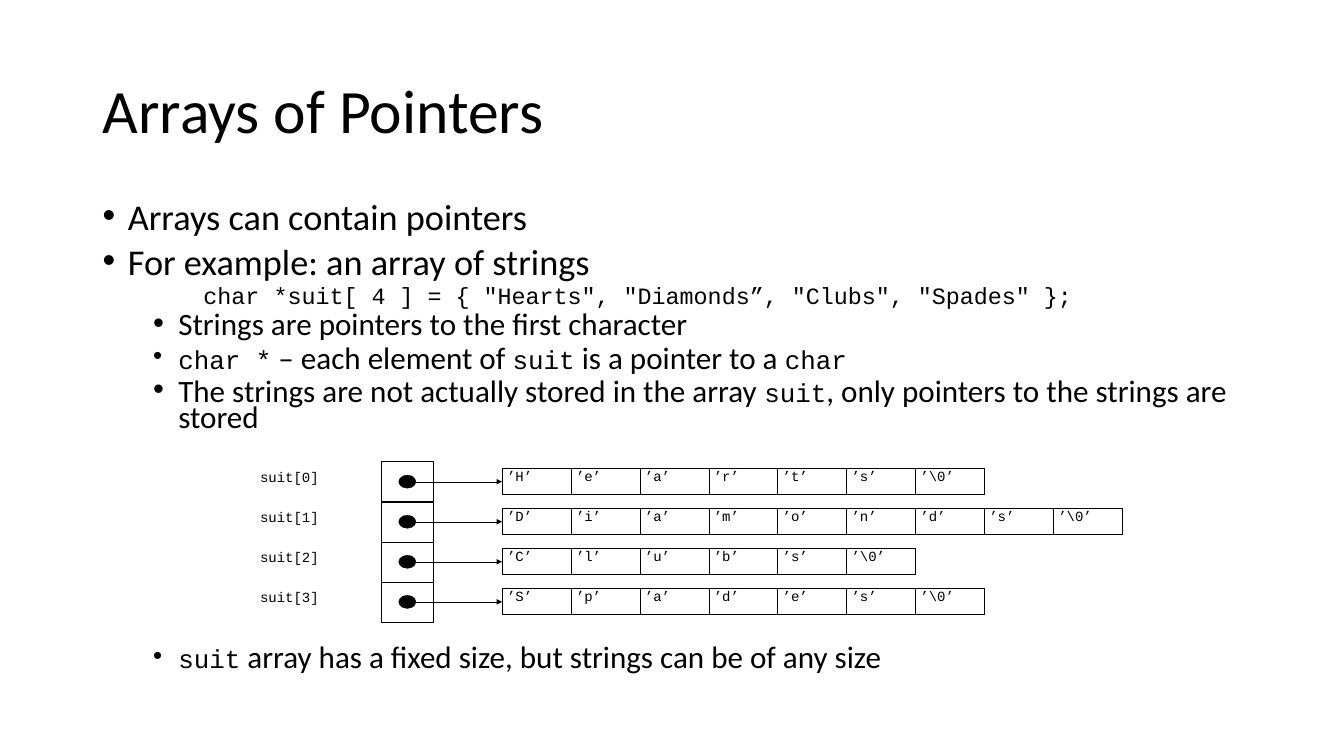
import pptx
import pptx.util
import pptx.dml.color
import pptx.enum.shapes
import pptx.enum.text
import pptx.oxml.ns
from lxml import etree

Inches = pptx.util.Inches
Pt = pptx.util.Pt
Shapes = pptx.enum.shapes.MSO_SHAPE
Anchor = pptx.enum.text.MSO_ANCHOR
qn = pptx.oxml.ns.qn

# Content
COLORS = {"ink": "000000"}
SANS, MONO = "Calibri", "Courier New"
TITLE = "Arrays of Pointers"
# Level and text; code stands between backticks
INTRO = [
    (0, "Arrays can contain pointers"),
    (0, "For example: an array of strings"),
    (2, '`char *suit[ 4 ] = { "Hearts", "Diamonds”, "Clubs", "Spades" };`'),
    (1, "Strings are pointers to the first character"),
    (1, "`char *` – each element of `suit` is a pointer to a `char`"),
    (1, "The strings are not actually stored in the array `suit`, "
        "only pointers to the strings are stored"),
]
CLOSING = [
    (1, "`suit` array has a fixed size, but strings can be of any size"),
]
# Level: left margin in inches, space before, text size, code size, bullet
LEVELS = {
    0: (0.25, 10, 25.9, 25.9, "•"),
    1: (0.75, 5, 22.2, 18.5, "•"),
    2: (1.25, 5, 16.7, 16.7, None),
}
SUITS = ["Hearts", "Diamonds", "Clubs", "Spades"]

# Diagram measures in inches
TOP, ARRAY_HEIGHT = 4.58, 1.59
ROW_PITCH = ARRAY_HEIGHT / len(SUITS)
LABEL_LEFT = 2.58
POINTER_LEFT, POINTER_WIDTH = 3.78, 0.52
DOT_WIDTH, DOT_HEIGHT = 0.17, 0.13
CELLS_LEFT, CELLS_WIDTH, CELL_HEIGHT = 4.98, 6.15, 0.26
CELL_WIDTH = CELLS_WIDTH / (max(map(len, SUITS)) + 1)


def ink():
    return pptx.dml.color.RGBColor.from_string(COLORS["ink"])


def style_font(font, name, size):
    font.name, font.size = name, Pt(size)
    font.color.rgb = ink()


def write_code(shape, text, left_inset=0):
    frame = shape.text_frame
    frame.margin_left = Inches(left_inset)
    frame.margin_top = frame.margin_right = frame.margin_bottom = 0
    frame.vertical_anchor = Anchor.TOP
    frame.word_wrap = True
    para = frame.paragraphs[0]
    para.text = text
    para.alignment = pptx.enum.text.PP_ALIGN.LEFT
    style_font(para.font, MONO, 10)


def add_outline(page, kind, left, top, width, height, filled=False):
    shape = page.shapes.add_shape(
        kind, Inches(left), Inches(top), Inches(width), Inches(height))
    shape.shadow.inherit = False
    if filled:
        shape.fill.solid()
        shape.fill.fore_color.rgb = ink()
    else:
        shape.fill.background()
    shape.line.color.rgb = ink()
    shape.line.width = Pt(0.25)
    return shape


def add_arrow(page, left, right, y):
    arrow = page.shapes.add_connector(
        pptx.enum.shapes.MSO_CONNECTOR.STRAIGHT,
        Inches(left), Inches(y), Inches(right), Inches(y))
    arrow.line.color.rgb = ink()
    arrow.line.width = Pt(0.25)
    line = arrow.line._get_or_add_ln()
    etree.SubElement(line, qn("a:tailEnd"), type="triangle", w="sm", len="sm")
    etree.SubElement(arrow._element.spPr, qn("a:effectLst"))


def add_title(page):
    title = page.shapes.title
    title.left, title.top = Inches(0.92), Inches(0.4)
    title.width, title.height = Inches(11.5), Inches(1.45)
    title.text_frame.vertical_anchor = Anchor.MIDDLE
    para = title.text_frame.paragraphs[0]
    para.text = TITLE
    para.alignment = pptx.enum.text.PP_ALIGN.LEFT
    para.line_spacing = 0.9
    style_font(para.font, SANS, 44)


def add_bullets(page, lines, top, height):
    box = page.shapes.add_textbox(
        Inches(0.92), Inches(top), Inches(11.5), Inches(height))
    frame = box.text_frame
    frame.word_wrap = True
    for number, (level, text) in enumerate(lines):
        para = frame.add_paragraph() if number else frame.paragraphs[0]
        margin, space, text_size, code_size, bullet = LEVELS[level]
        para.level = level
        para.line_spacing = 0.7
        para.space_before = Pt(space if number else 0)
        settings = para._p.get_or_add_pPr()
        settings.set("marL", str(Inches(margin)))
        settings.set("indent", str(Inches(-0.25)))
        if bullet:
            etree.SubElement(settings, qn("a:buFont"), typeface="Arial")
            etree.SubElement(settings, qn("a:buChar"), char=bullet)
        for part, words in enumerate(text.split("`")):
            if words:
                span = para.add_run()
                span.text = words
                if part % 2:
                    style_font(span.font, MONO, code_size)
                else:
                    style_font(span.font, SANS, text_size)


def add_row(page, index, word):
    top = TOP + index * ROW_PITCH
    middle = top + ROW_PITCH / 2
    center = POINTER_LEFT + POINTER_WIDTH / 2

    # Array element with its pointer
    label = page.shapes.add_textbox(
        Inches(LABEL_LEFT), Inches(top + 0.07), Inches(1.1), Inches(0.31))
    write_code(label, f"suit[{index}]")
    add_outline(page, Shapes.RECTANGLE,
                POINTER_LEFT, top, POINTER_WIDTH, ROW_PITCH)
    add_outline(page, Shapes.OVAL, center - DOT_WIDTH / 2,
                middle - DOT_HEIGHT / 2, DOT_WIDTH, DOT_HEIGHT, filled=True)
    add_arrow(page, center + DOT_WIDTH / 2, CELLS_LEFT, middle)

    # Characters of the string and its terminator
    for column, letter in enumerate([*word, "\\0"]):
        cell = add_outline(
            page, Shapes.RECTANGLE, CELLS_LEFT + column * CELL_WIDTH,
            top + 0.06, CELL_WIDTH, CELL_HEIGHT)
        write_code(cell, f"’{letter}’", left_inset=0.05)


def main():
    deck = pptx.Presentation()
    deck.slide_width, deck.slide_height = Inches(13.33), Inches(7.5)
    page = deck.slides.add_slide(deck.slide_layouts.get_by_name("Title Only"))
    add_title(page)
    add_bullets(page, INTRO, top=2, height=2.4)
    for index, word in enumerate(SUITS):
        add_row(page, index, word)
    add_bullets(page, CLOSING, top=6.38, height=0.38)
    deck.save("out.pptx")


if __name__ == "__main__":
    main()
